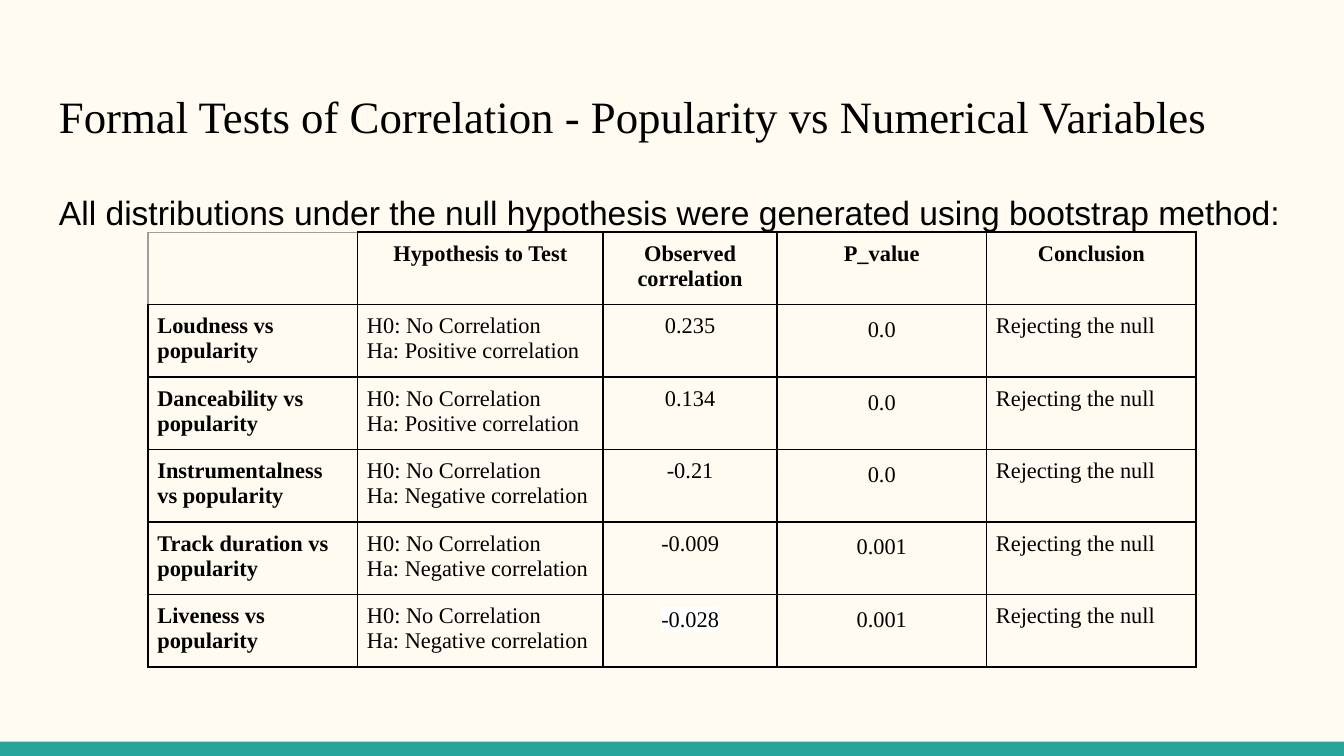
import dataclasses

import lxml.etree
import pptx
import pptx.dml.color
import pptx.enum.shapes
import pptx.enum.text
import pptx.oxml.ns
import pptx.util

Pt = pptx.util.Pt
RGB = pptx.dml.color.RGBColor.from_string
qn = pptx.oxml.ns.qn
ALIGN = pptx.enum.text.PP_ALIGN
ANCHOR = pptx.enum.text.MSO_ANCHOR


@dataclasses.dataclass(frozen=True)
class Theme:
    background: str = "FFFBF0"
    accent: str = "26A69A"
    ink: str = "000000"
    faint_line: str = "9E9E9E"
    highlight: str = "FFFFFF"
    serif: str = "Times New Roman"
    sans: str = "Arial"
    title_size: int = 24
    body_size: int = 18
    table_size: int = 12


theme = Theme()


def style(paragraph, font_name, size, bold=False):
    paragraph.font.name = font_name
    paragraph.font.size = Pt(size)
    paragraph.font.bold = bold
    paragraph.font.color.rgb = RGB(theme.ink)


def add_border(cell, position, side, color, width):
    """Insert one cell edge; edges precede the fill in the order L, R, T, B."""
    properties = cell._tc.get_or_add_tcPr()
    line = lxml.etree.Element(qn(f"a:ln{side}"), w=str(Pt(width)))
    fill = lxml.etree.SubElement(line, qn("a:solidFill"))
    lxml.etree.SubElement(fill, qn("a:srgbClr"), val=color)
    properties.insert(position, line)


presentation = pptx.Presentation()
presentation.slide_width = Pt(720)
presentation.slide_height = Pt(405)
slide = presentation.slides.add_slide(presentation.slide_layouts[6])
slide.background.fill.solid()
slide.background.fill.fore_color.rgb = RGB(theme.background)

footer_bar = slide.shapes.add_shape(
    pptx.enum.shapes.MSO_SHAPE.RECTANGLE, Pt(0), Pt(397.3), Pt(720), Pt(7.7))
footer_bar.shadow.inherit = False
footer_bar.fill.solid()
footer_bar.fill.fore_color.rgb = RGB(theme.accent)
footer_bar.line.fill.background()

# Title and introduction: text, top, height, anchor, font, size, line spacing
TEXTS = [
    ("Formal Tests of Correlation - Popularity vs Numerical Variables",
     35.3, 48.2, ANCHOR.BOTTOM, theme.serif, theme.title_size, 1),
    ("All distributions under the null hypothesis were generated using bootstrap method:",
     92.2, 267.8, ANCHOR.TOP, theme.sans, theme.body_size, 1.15),
]
for text, top, height, anchor, font_name, size, spacing in TEXTS:
    text_frame = slide.shapes.add_textbox(Pt(24.5), Pt(top), Pt(671), Pt(height)).text_frame
    text_frame.word_wrap = True
    text_frame.vertical_anchor = anchor
    text_frame.margin_left = text_frame.margin_right = Pt(7.2)
    text_frame.margin_top = text_frame.margin_bottom = Pt(7.2)
    paragraph = text_frame.paragraphs[0]
    paragraph.text = text
    paragraph.line_spacing = spacing
    style(paragraph, font_name, size)

# Table of test results
HEADERS = ["", "Hypothesis to Test", "Observed correlation", "P_value", "Conclusion"]
RESULTS = [
    ("Loudness", "Positive", "0.235", "0.0"),
    ("Danceability", "Positive", "0.134", "0.0"),
    ("Instrumentalness", "Negative", "-0.21", "0.0"),
    ("Track duration", "Negative", "-0.009", "0.001"),
    ("Liveness", "Negative", "-0.028", "0.001"),
]
COLUMN_WIDTHS = [112.3, 131.6, 93.1, 112.3, 112.3]
ROW_HEIGHTS = [36.7, 36.7, 38.6, 38.6, 36.7, 36.7]
CORRELATION, P_VALUE = 2, 3

rows = [HEADERS] + [
    [f"{variable} vs popularity", f"H0: No Correlation\nHa: {direction} correlation",
     correlation, p_value, "Rejecting the null"]
    for variable, direction, correlation, p_value in RESULTS
]
last_row = len(rows) - 1
table = slide.shapes.add_table(
    len(rows), len(HEADERS), Pt(79.3), Pt(124.4),
    Pt(sum(COLUMN_WIDTHS)), Pt(sum(ROW_HEIGHTS))).table
table.first_row = False
table.horz_banding = False
for column, width in zip(table.columns, COLUMN_WIDTHS):
    column.width = Pt(width)
for row, height in zip(table.rows, ROW_HEIGHTS):
    row.height = Pt(height)

for row_index, row in enumerate(rows):
    for column_index, text in enumerate(row):
        cell = table.cell(row_index, column_index)
        cell.text = text
        cell.margin_left = cell.margin_right = Pt(5)
        cell.margin_top = cell.margin_bottom = Pt(5)
        cell.fill.background()
        is_corner = row_index == 0 and column_index == 0
        for position, side in enumerate("LRTB"):
            if is_corner and side in "LT":
                add_border(cell, position, side, theme.faint_line, 0.75)
            else:
                add_border(cell, position, side, theme.ink, 1)

        is_highlighted = row_index == last_row and column_index == CORRELATION
        for paragraph in cell.text_frame.paragraphs:
            style(paragraph, theme.serif, theme.table_size,
                  bold=row_index == 0 or column_index == 0)
            if row_index == 0 or column_index in (CORRELATION, P_VALUE):
                paragraph.alignment = ALIGN.CENTER
            if is_highlighted or (row_index > 0 and column_index == P_VALUE):
                paragraph.line_spacing = 1.15

highlighted_run = table.cell(last_row, CORRELATION).text_frame.paragraphs[0].runs[0]
highlight = lxml.etree.SubElement(highlighted_run.font._element, qn("a:highlight"))
lxml.etree.SubElement(highlight, qn("a:srgbClr"), val=theme.highlight)

presentation.save("out.pptx")
